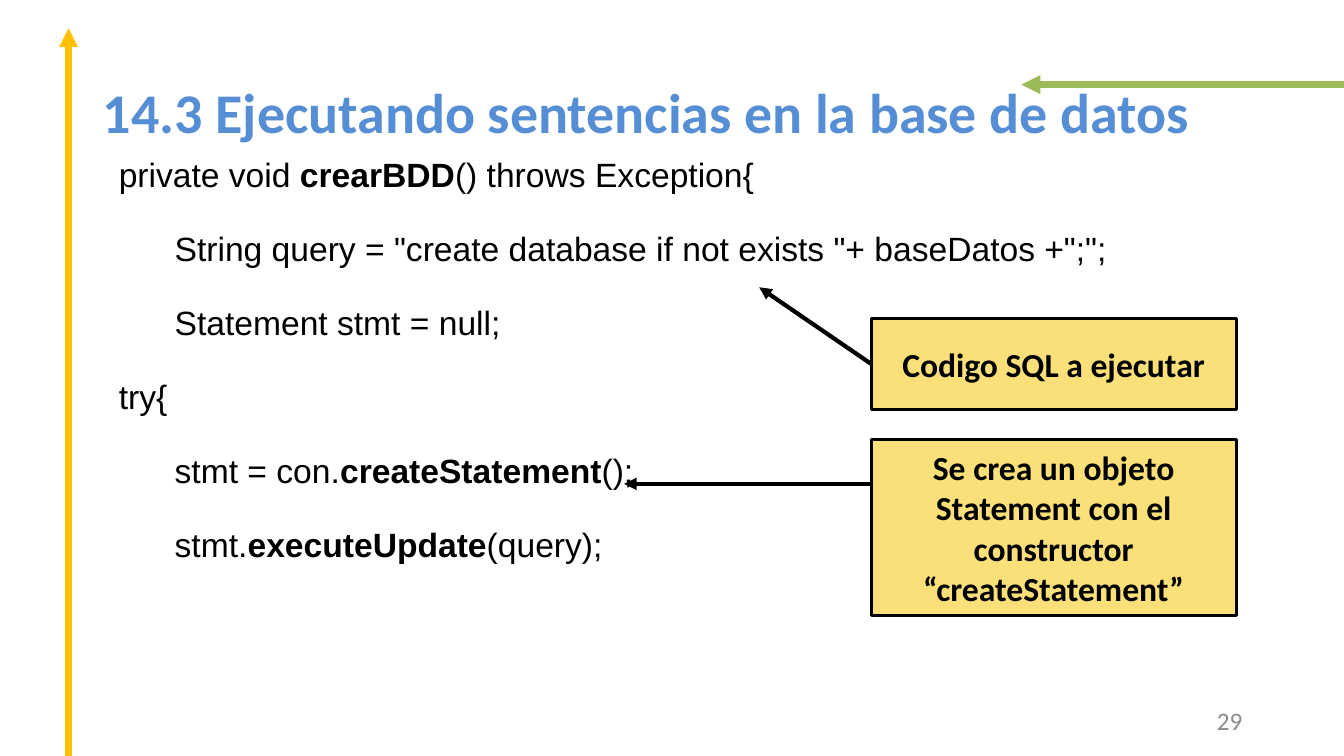
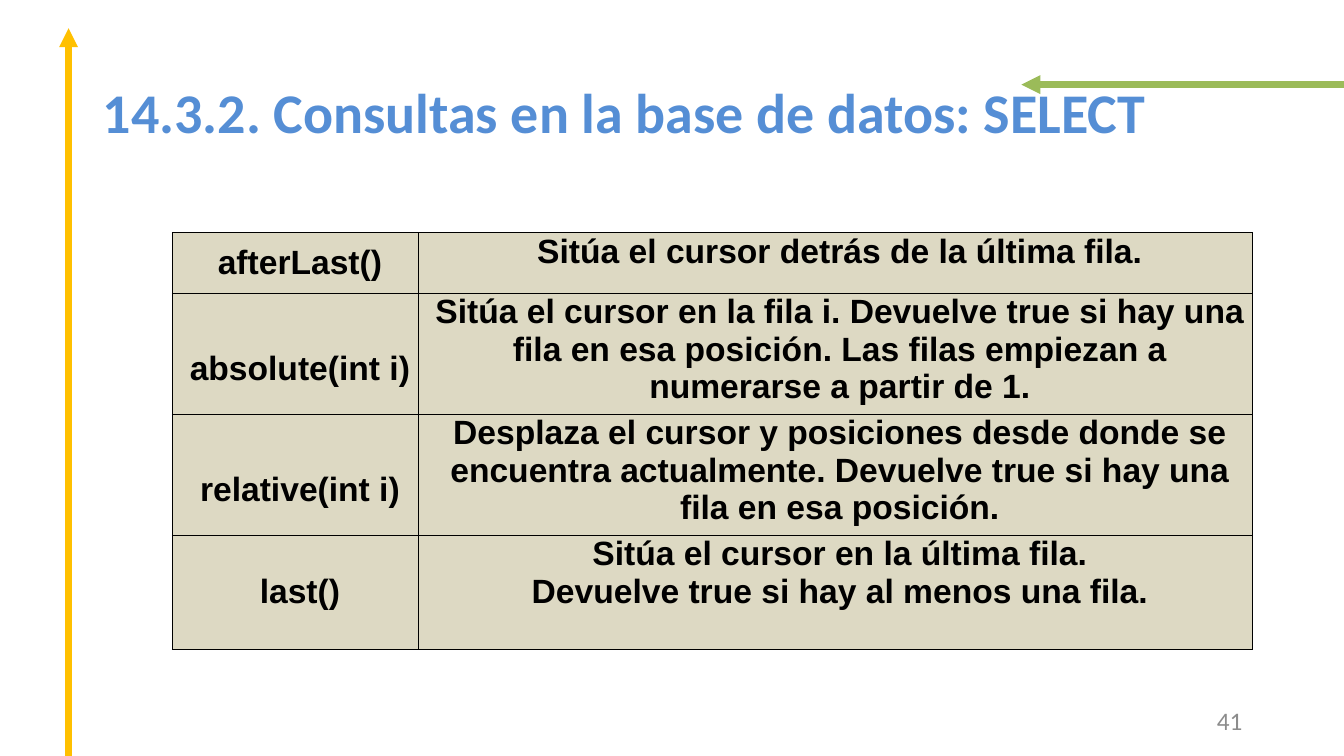
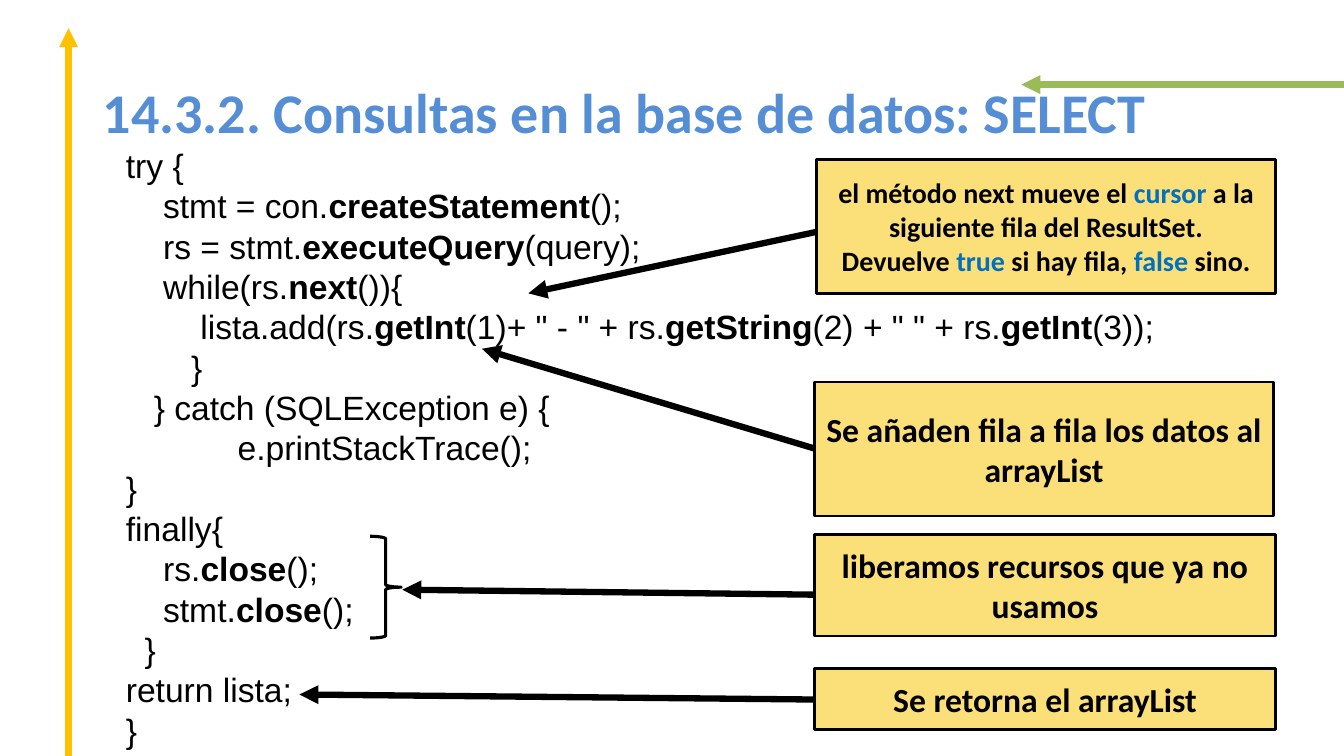
from dataclasses import dataclass

from lxml.etree import SubElement
from pptx import Presentation
from pptx.dml.color import RGBColor
from pptx.enum.shapes import MSO_CONNECTOR, MSO_SHAPE
from pptx.enum.text import MSO_ANCHOR, PP_ALIGN
from pptx.oxml.ns import qn
from pptx.util import Inches, Pt


@dataclass(frozen=True)
class Theme:
    title_color: str = "558ED5"
    ink: str = "000000"
    accent: str = "0070C0"
    page_color: str = "8C8C8C"
    callout_fill: str = "FBDF79"
    cell_fill: str = "DDD9C3"
    side_arrow: str = "FFC000"
    top_arrow: str = "9BBB59"
    heading_font: str = "Calibri"
    code_font: str = "Arial"
    title_size: float = 40
    text_size: float = 24
    small_size: float = 20
    page_size: float = 18
    code_line: float = 28.8
    callout_border: float = 2
    brace_line: float = 2.25
    thin_arrow: float = 3
    thick_arrow: float = 4.5


THEME = Theme()
TITLE_FORMAT = {"name": THEME.heading_font, "size": Pt(THEME.title_size), "bold": True}
PAGE_FORMAT = {"name": THEME.heading_font, "size": Pt(THEME.page_size)}
CODE_FORMAT = {"name": THEME.code_font, "size": Pt(THEME.text_size), "bold": False}
CELL_FORMAT = {**CODE_FORMAT, "bold": True}
CALLOUT_FORMAT = {"name": THEME.heading_font, "size": Pt(THEME.text_size), "bold": True}
SELECT_TITLE = "14.3.2. Consultas en la base de datos: SELECT"

CREATE_CODE = """private void *crearBDD*() throws Exception{
      String query = "create database if not exists "+ baseDatos +";";
      Statement stmt = null;
try{
      stmt = con.*createStatement*();
      stmt.*executeUpdate*(query);"""

SELECT_CODE = """try {
    stmt = con.*createStatement*();
    rs = stmt.*executeQuery*(query);
    while(rs.*next*()){
        lista.add(rs.*getInt*(1)+ " - " + rs.*getString*(2) + " " + rs.*getInt*(3));
       }
   } catch (SQLException e) {
            e.printStackTrace();
}
finally{
    rs.*close*();
    stmt.*close*();
  }
return lista;
}"""

NEXT_NOTE = """el método next mueve el *cursor* a la siguiente fila del ResultSet.
Devuelve *true* si hay fila, *false* sino."""

# Method, description, row height, top margin of the method cell
CURSOR_METHODS = [
    ("afterLast()", "Sitúa el cursor detrás de la última fila.", 0.6, 0),
    ("absolute(int i)", "Sitúa el cursor en la fila i. Devuelve true si hay una fila en esa "
     "posición. Las filas empiezan a numerarse a partir de 1.", 1.13, 0.3),
    ("relative(int i)", "Desplaza el cursor y posiciones desde donde se encuentra actualmente. "
     "Devuelve true si hay una fila en esa posición.", 1.13, 0.3),
    ("last()", "Sitúa el cursor en la última fila.\nDevuelve true si hay al menos una fila.",
     1.13, 0),
]


def rgb(color):
    return RGBColor.from_string(color)


def set_attributes(target, values):
    for name, value in values.items():
        setattr(target, name, value)


def write_text(frame, text, font, color=THEME.ink, marked_font=None, marked_color=None,
               **paragraph_values):
    """Write one paragraph per line; words between asterisks take the marked format."""
    for index, line in enumerate(text.split("\n")):
        paragraph = frame.paragraphs[0] if index == 0 else frame.add_paragraph()
        set_attributes(paragraph, paragraph_values)
        if index == 0:
            paragraph.space_before = Pt(0)
        for position, part in enumerate(line.split("*")):
            if part:
                marked = position % 2 == 1
                run = paragraph.add_run()
                run.text = part
                set_attributes(run.font, {**font, **(marked_font or {})} if marked else font)
                run.font.color.rgb = rgb(marked_color or color if marked else color)


def add_arrow(slide, start, end, width, color=THEME.ink):
    connector = slide.shapes.add_connector(
        MSO_CONNECTOR.STRAIGHT, *(Inches(value) for value in (*start, *end)))
    connector.line.color.rgb = rgb(color)
    connector.line.width = Pt(width)
    properties = connector.element.spPr
    SubElement(properties.find(qn("a:ln")), qn("a:tailEnd"), type="triangle")
    SubElement(properties, qn("a:effectLst"))
    return connector


def prepare_layout(layout, slide):
    """Place the title and move the two decorative arrows onto the layout."""
    set_attributes(layout.placeholders[0], {
        "left": Inches(0.92), "top": Inches(0.44),
        "width": Inches(12.05), "height": Inches(1.33)})
    for start, end, color in (((13.33, 0.84), (10.13, 0.84), THEME.top_arrow),
                              ((0.68, 7.5), (0.68, 0.28), THEME.side_arrow)):
        arrow = add_arrow(slide, start, end, THEME.thick_arrow, color)
        layout.shapes.element.append(arrow.element)


def add_title(slide, text):
    frame = slide.shapes.title.text_frame
    frame.vertical_anchor = MSO_ANCHOR.MIDDLE
    write_text(frame, text, TITLE_FORMAT, THEME.title_color, alignment=PP_ALIGN.LEFT)


def add_text_box(slide, box):
    frame = slide.shapes.add_textbox(*(Inches(value) for value in box)).text_frame
    frame.word_wrap = True
    return frame


def add_page_number(slide, number):
    frame = add_text_box(slide, (9.42, 6.95, 3, 0.4))
    frame.vertical_anchor = MSO_ANCHOR.MIDDLE
    write_text(frame, str(number), PAGE_FORMAT, THEME.page_color, alignment=PP_ALIGN.RIGHT)


def add_code(slide, box, code, gap=0):
    write_text(add_text_box(slide, box), code, CODE_FORMAT, marked_font={"bold": True},
               line_spacing=Pt(THEME.code_line), space_before=Pt(gap), space_after=Pt(gap))


def add_callout(slide, box, text, arrow_drop, target, arrow_width, size=THEME.text_size):
    """Add a note whose arrow leaves its left edge, arrow_drop below its top."""
    left, top = box[:2]
    shape = slide.shapes.add_shape(MSO_SHAPE.RECTANGLE, *(Inches(value) for value in box))
    shape.shadow.inherit = False
    shape.fill.solid()
    shape.fill.fore_color.rgb = rgb(THEME.callout_fill)
    shape.line.color.rgb = rgb(THEME.ink)
    shape.line.width = Pt(THEME.callout_border)
    frame = shape.text_frame
    frame.word_wrap = True
    frame.vertical_anchor = MSO_ANCHOR.MIDDLE
    write_text(frame, text, {**CALLOUT_FORMAT, "size": Pt(size)},
               marked_color=THEME.accent, alignment=PP_ALIGN.CENTER)
    add_arrow(slide, (left, top + arrow_drop), target, arrow_width)


def add_brace(slide, box):
    brace = slide.shapes.add_shape(MSO_SHAPE.RIGHT_BRACE, *(Inches(value) for value in box))
    brace.shadow.inherit = False
    brace.fill.background()
    brace.line.color.rgb = rgb(THEME.ink)
    brace.line.width = Pt(THEME.brace_line)


def format_cell(cell, text, anchor, top_margin):
    set_attributes(cell, {
        "margin_left": Inches(0.09), "margin_right": 0, "margin_top": Inches(top_margin),
        "margin_bottom": 0, "vertical_anchor": anchor})
    properties = cell._tc.get_or_add_tcPr()
    for side in ("lnL", "lnR", "lnT", "lnB"):
        border = SubElement(properties, qn(f"a:{side}"), w=str(Pt(1)))
        fill = SubElement(border, qn("a:solidFill"))
        SubElement(fill, qn("a:srgbClr"), val=THEME.ink)
    cell.fill.solid()
    cell.fill.fore_color.rgb = rgb(THEME.cell_fill)
    write_text(cell.text_frame, text, CELL_FORMAT, alignment=PP_ALIGN.CENTER)


def add_method_table(slide, left, top, column_widths, methods):
    height = sum(method[2] for method in methods)
    table = slide.shapes.add_table(
        len(methods), len(column_widths), Inches(left), Inches(top),
        Inches(sum(column_widths)), Inches(height)).table
    set_attributes(table, {"first_row": False, "horz_banding": False})
    for column, width in zip(table.columns, column_widths):
        column.width = Inches(width)
    for index, (method, description, row_height, margin) in enumerate(methods):
        table.rows[index].height = Inches(row_height)
        format_cell(table.cell(index, 0), method, MSO_ANCHOR.MIDDLE, margin)
        format_cell(table.cell(index, 1), description, MSO_ANCHOR.TOP, 0)


def build_create_slide(slide):
    add_title(slide, "14.3 Ejecutando sentencias en la base de datos")
    add_page_number(slide, 29)
    add_code(slide, (1.08, 1.48, 11.73, 4.95), CREATE_CODE, gap=12)
    add_callout(slide, (8.64, 3.16, 3.62, 0.9), "Codigo SQL a ejecutar",
                0.45, (7.53, 2.85), THEME.thin_arrow)
    add_callout(slide, (8.64, 4.36, 3.62, 1.75),
                "Se crea un objeto Statement con el constructor “createStatement”",
                0.44, (6.19, 4.8), THEME.thin_arrow)


def build_methods_slide(slide):
    add_title(slide, SELECT_TITLE)
    add_page_number(slide, 41)
    add_method_table(slide, 1.71, 2.31, (2.44, 8.27), CURSOR_METHODS)


def build_select_slide(slide):
    add_title(slide, SELECT_TITLE)
    add_code(slide, (1.15, 1.39, 11.58, 6.1), SELECT_CODE)
    callouts = [
        ((8.08, 3.79, 4.55, 1.33), "Se añaden fila a fila los datos al arrayList",
         0.66, (4.78, 3.46), THEME.text_size),
        ((8.08, 6.63, 4.57, 0.61), "Se retorna el arrayList",
         0.31, (2.97, 6.89), THEME.text_size),
        ((8.1, 1.58, 4.55, 1.33), NEXT_NOTE, 0.72, (5.24, 2.91), THEME.small_size),
        ((8.08, 5.3, 4.57, 1.01), "liberamos recursos que ya no usamos",
         0.6, (3.99, 5.85), THEME.text_size),
    ]
    for box, text, arrow_drop, target, size in callouts:
        add_callout(slide, box, text, arrow_drop, target, THEME.thick_arrow, size)
    add_brace(slide, (3.67, 5.32, 0.31, 1.01))


def main():
    presentation = Presentation()
    presentation.slide_width = Inches(13.33)
    presentation.slide_height = Inches(7.5)
    layout = presentation.slide_layouts.get_by_name("Title Only")
    builders = (build_create_slide, build_methods_slide, build_select_slide)
    slides = [presentation.slides.add_slide(layout) for _ in builders]
    prepare_layout(layout, slides[0])
    for build, slide in zip(builders, slides):
        build(slide)
    presentation.save("out.pptx")


if __name__ == "__main__":
    main()
